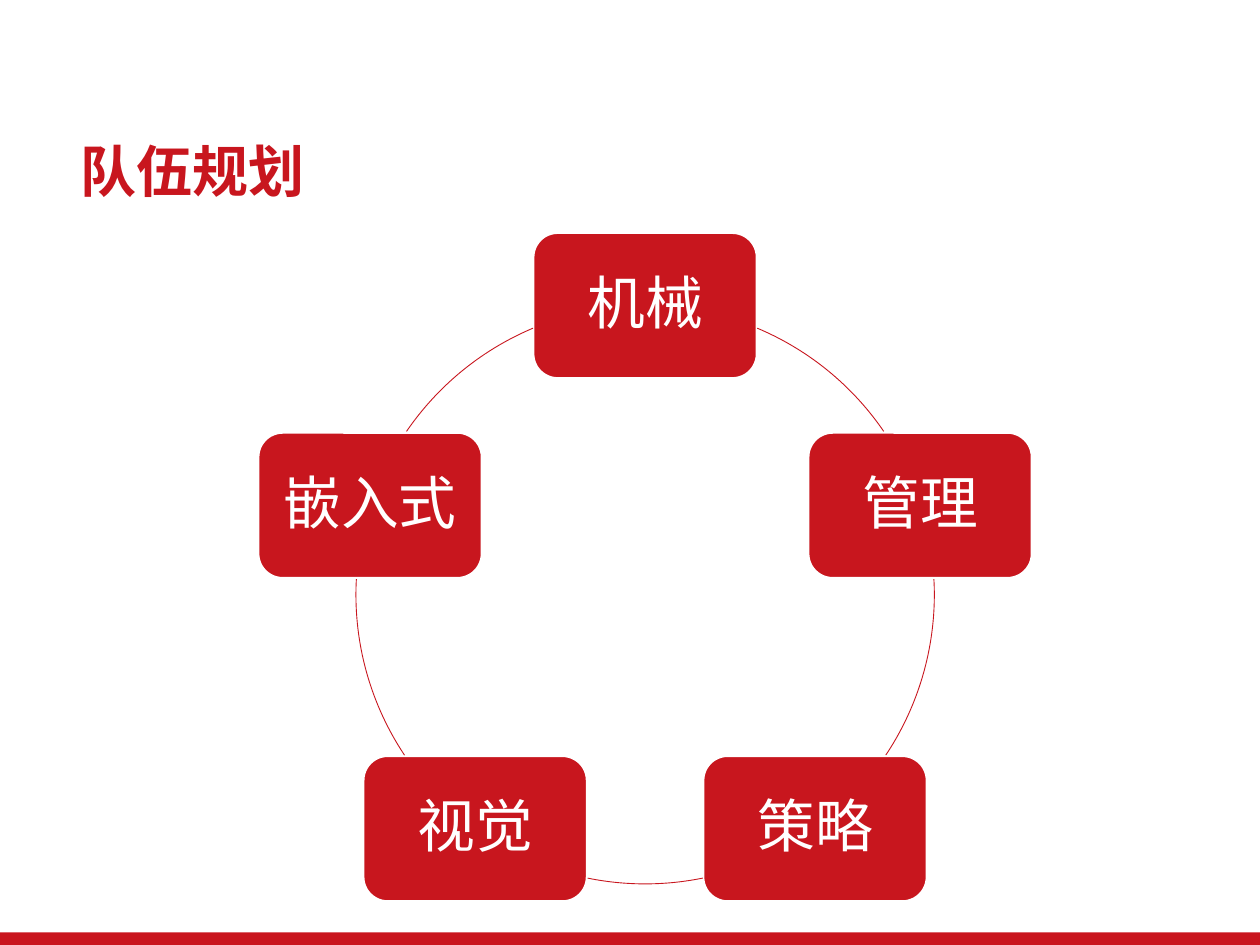
import math

from lxml import etree
from pptx import Presentation
from pptx.dml.color import RGBColor
from pptx.enum.shapes import MSO_SHAPE
from pptx.enum.text import MSO_ANCHOR, MSO_AUTO_SIZE, PP_ALIGN
from pptx.oxml.ns import qn
from pptx.util import Inches, Pt

RECTANGLE, ROUNDED, ARC = MSO_SHAPE.RECTANGLE, MSO_SHAPE.ROUNDED_RECTANGLE, MSO_SHAPE.ARC
LEFT, CENTER = PP_ALIGN.LEFT, PP_ALIGN.CENTER
MIDDLE, NO_AUTOFIT = MSO_ANCHOR.MIDDLE, MSO_AUTO_SIZE.NONE

TITLE = "队伍规划"
TEAMS = ["机械", "管理", "策略", "视觉", "嵌入式"]
# Start and end of the arc after each team, in degrees clockwise from the right
ARCS = [(292.8, 325.6), (356.9, 33.7), (78.5, 101.5), (146.3, 183.1), (214.4, 247.2)]

THEME = {
    "font": "Noto Sans CJK SC",
    "red": RGBColor(0xC8, 0x16, 0x1E),
    "bar": RGBColor(0xC9, 0x15, 0x1E),
    "white": RGBColor(0xFF, 0xFF, 0xFF),
    "title_size": 32,
    "team_size": 33,
}
CENTER_X, CENTER_Y, RADIUS = 5.12, 4.72, 2.295
BOX_WIDTH, BOX_HEIGHT = 1.77, 1.15


def write_text(shape, text, *, size, color, bold=False, align=LEFT, after=0):
    frame = shape.text_frame
    frame.auto_size = NO_AUTOFIT
    frame.word_wrap = True
    frame.vertical_anchor = MIDDLE
    para = frame.paragraphs[0]
    para.alignment = align
    para.line_spacing = 0.9
    para.space_after = Pt(after)
    span = para.add_run()
    span.text = text
    span.font.name = THEME["font"]
    span.font.size = Pt(size)
    span.font.bold = bold
    span.font.color.rgb = color
    east_asian = etree.SubElement(span.font._element, qn("a:ea"))
    east_asian.set("typeface", THEME["font"])


def add_shape(page, kind, left, top, width, height, *, fill=None, line=None, weight=1):
    shape = page.shapes.add_shape(
        kind, Inches(left), Inches(top), Inches(width), Inches(height))
    shape.shadow.inherit = False
    if fill is None:
        shape.fill.background()
    else:
        shape.fill.solid()
        shape.fill.fore_color.rgb = fill
    if line is None:
        shape.line.fill.background()
    else:
        shape.line.color.rgb = line
        shape.line.width = Pt(weight)
    return shape


def add_arc(page, start, end):
    arc = add_shape(page, ARC, CENTER_X - RADIUS, CENTER_Y - RADIUS,
                    2 * RADIUS, 2 * RADIUS, line=THEME["red"], weight=0.5)
    # Angles are stored in 60000ths of a degree, adjustments in 100000ths
    arc.adjustments[0] = start * 0.6
    arc.adjustments[1] = end * 0.6


def add_team(page, name, angle):
    left = CENTER_X + RADIUS * math.cos(angle) - BOX_WIDTH / 2
    top = CENTER_Y + RADIUS * math.sin(angle) - BOX_HEIGHT / 2
    box = add_shape(page, ROUNDED, left, top, BOX_WIDTH, BOX_HEIGHT,
                    fill=THEME["red"], line=THEME["white"])
    write_text(box, name, size=THEME["team_size"], color=THEME["white"],
               align=CENTER, after=12)


def main():
    deck = Presentation()
    deck.slide_width, deck.slide_height = Inches(10), Inches(7.5)
    page = deck.slides.add_slide(deck.slide_layouts[5])

    title = page.shapes.title
    title.left, title.top = Inches(0.54), Inches(1.07)
    title.width, title.height = Inches(9.16), Inches(0.63)
    write_text(title, TITLE, size=THEME["title_size"], color=THEME["red"], bold=True)

    add_shape(page, RECTANGLE, 0, 7.4, 10, 0.1, fill=THEME["bar"])
    for index, (name, (start, end)) in enumerate(zip(TEAMS, ARCS)):
        add_team(page, name, math.radians(360 / len(TEAMS) * index - 90))
        add_arc(page, start, end)

    deck.save("out.pptx")


if __name__ == "__main__":
    main()
